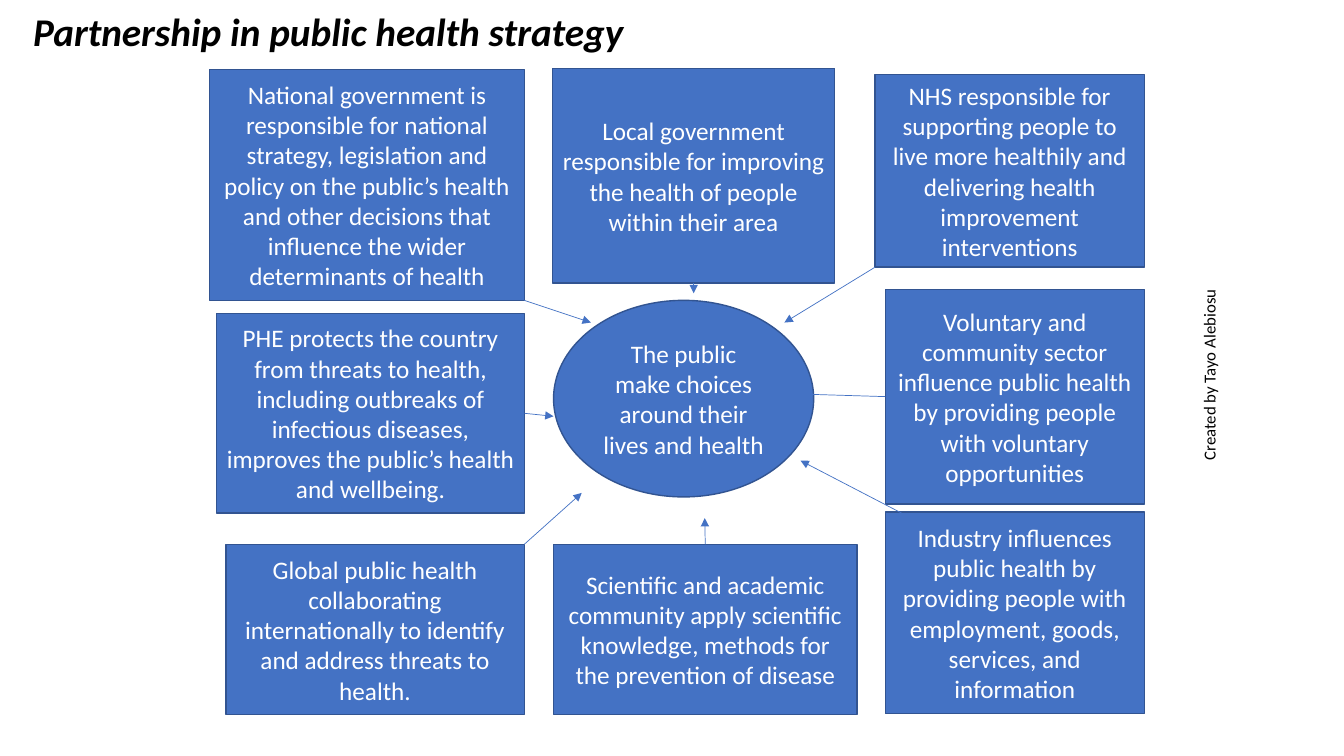
from pptx import Presentation
from pptx import util as u
from pptx.dml.color import RGBColor
from pptx.enum import shapes, text
from pptx.oxml.ns import qn
from lxml import etree

BLUE = RGBColor(0x44, 0x72, 0xC4)
EDGE = RGBColor(0x32, 0x54, 0x91)
WHITE = RGBColor(0xFF, 0xFF, 0xFF)
BLACK = RGBColor(0, 0, 0)
TOP, LEFT, BOTTOM, RIGHT = range(4)
RECT = shapes.MSO_SHAPE.RECTANGLE
OVAL = shapes.MSO_SHAPE.OVAL

PUBLIC = "The public make choices around their lives and health"

# Partner: place, wording
PARTNERS = {
    "local": ((5.48, 0.68, 2.8, 2.13),
              "Local government responsible for improving the health of "
              "people within their area"),
    "nation": ((2.08, 0.69, 3.12, 2.29),
               "National government is responsible for national strategy, "
               "legislation and policy on the public’s health and other "
               "decisions that influence the wider determinants of health"),
    "phe": ((2.15, 3.11, 3.05, 1.98),
            "PHE protects the country from threats to health, including "
            "outbreaks of infectious diseases, improves the public’s health "
            "and wellbeing."),
    "global": ((2.24, 5.4, 2.96, 1.69),
               "Global public health collaborating internationally to "
               "identify and address threats to health."),
    "science": ((5.49, 5.4, 3.01, 1.69),
                "Scientific and academic community apply scientific "
                "knowledge, methods for the prevention of disease"),
    "trade": ((8.78, 5.08, 2.57, 2),
              "Industry influences public health by providing people with "
              "employment, goods, services, and information"),
    "charity": ((8.78, 2.87, 2.57, 2.13),
                "Voluntary and community sector influence public health by "
                "providing people with voluntary opportunities"),
    "nhs": ((8.68, 0.74, 2.67, 1.91),
            "NHS responsible for supporting people to live more healthily "
            "and delivering health improvement interventions"),
}

# Arrow: start, end, and the partner and side it is joined to
ARROWS = [
    ((6.88, 2.81), (6.88, 2.91), "local", BOTTOM),
    ((5.2, 2.98), (5.86, 3.2), None, None),
    ((5.2, 4.1), (5.49, 4.13), "phe", RIGHT),
    ((5.2, 5.4), (5.77, 4.89), None, None),
    ((8.78, 3.94), (7.96, 3.91), "charity", LEFT),
    ((8.68, 2.65), (7.78, 3.2), None, None),
    ((8.98, 5.11), (7.94, 4.57), None, None),
    ((6.99, 5.4), (6.99, 5.14), "science", TOP),
]


def write(shape, words, size, color, align, bold=False):
    frame = shape.text_frame
    frame.word_wrap = True
    frame.vertical_anchor = text.MSO_ANCHOR.MIDDLE
    para = frame.paragraphs[0]
    para.alignment = align
    run = para.add_run()
    run.text = words
    font = run.font
    font.name, font.size = "Calibri", u.Pt(size)
    font.bold = font.italic = bold
    font.color.rgb = color
    return para


def add_box(slide, kind, place, words):
    box = slide.shapes.add_shape(kind, *map(u.Inches, place))
    box.shadow.inherit = False
    box.fill.solid()
    box.fill.fore_color.rgb = BLUE
    box.line.color.rgb = EDGE
    box.line.width = u.Pt(1)
    write(box, words, 18, WHITE, text.PP_ALIGN.CENTER)
    return box


def add_label(slide, place, words, size, align, bold=False):
    label = slide.shapes.add_textbox(*map(u.Inches, place))
    return label, write(label, words, size, BLACK, align, bold)


def add_arrow(slide, start, end, box, side):
    arrow = slide.shapes.add_connector(
        shapes.MSO_CONNECTOR.STRAIGHT, *map(u.Inches, start + end))
    if box is not None:
        arrow.begin_connect(box, side)
    arrow.line.color.rgb = BLUE
    arrow.line.width = u.Pt(0.5)
    tip = etree.SubElement(arrow.line._get_or_add_ln(), qn("a:tailEnd"))
    tip.set("type", "triangle")
    etree.SubElement(arrow._element.spPr, qn("a:effectLst"))


def main():
    deck = Presentation()
    deck.slide_width, deck.slide_height = u.Inches(13.33), u.Inches(7.5)
    slide = deck.slides.add_slide(deck.slide_layouts[6])

    # Title
    _, para = add_label(slide, (0.23, 0.11, 7.03, 0.48),
                        "Partnership in public health strategy", 28,
                        text.PP_ALIGN.LEFT, bold=True)
    para.line_spacing = 0.8

    # The public, with its partners around it
    add_box(slide, OVAL, (5.49, 2.98, 2.58, 1.95), PUBLIC)
    boxes = {name: add_box(slide, RECT, place, words)
             for name, (place, words) in PARTNERS.items()}

    # Arrows towards the public
    for start, end, name, side in ARROWS:
        add_arrow(slide, start, end, boxes.get(name), side)

    # Credit, read upwards
    label, _ = add_label(slide, (9.74, 3.52, 4.5, 0.4),
                         "Created by Tayo Alebiosu", 12,
                         text.PP_ALIGN.CENTER)
    label.rotation = 270

    deck.save("out.pptx")


if __name__ == "__main__":
    main()
